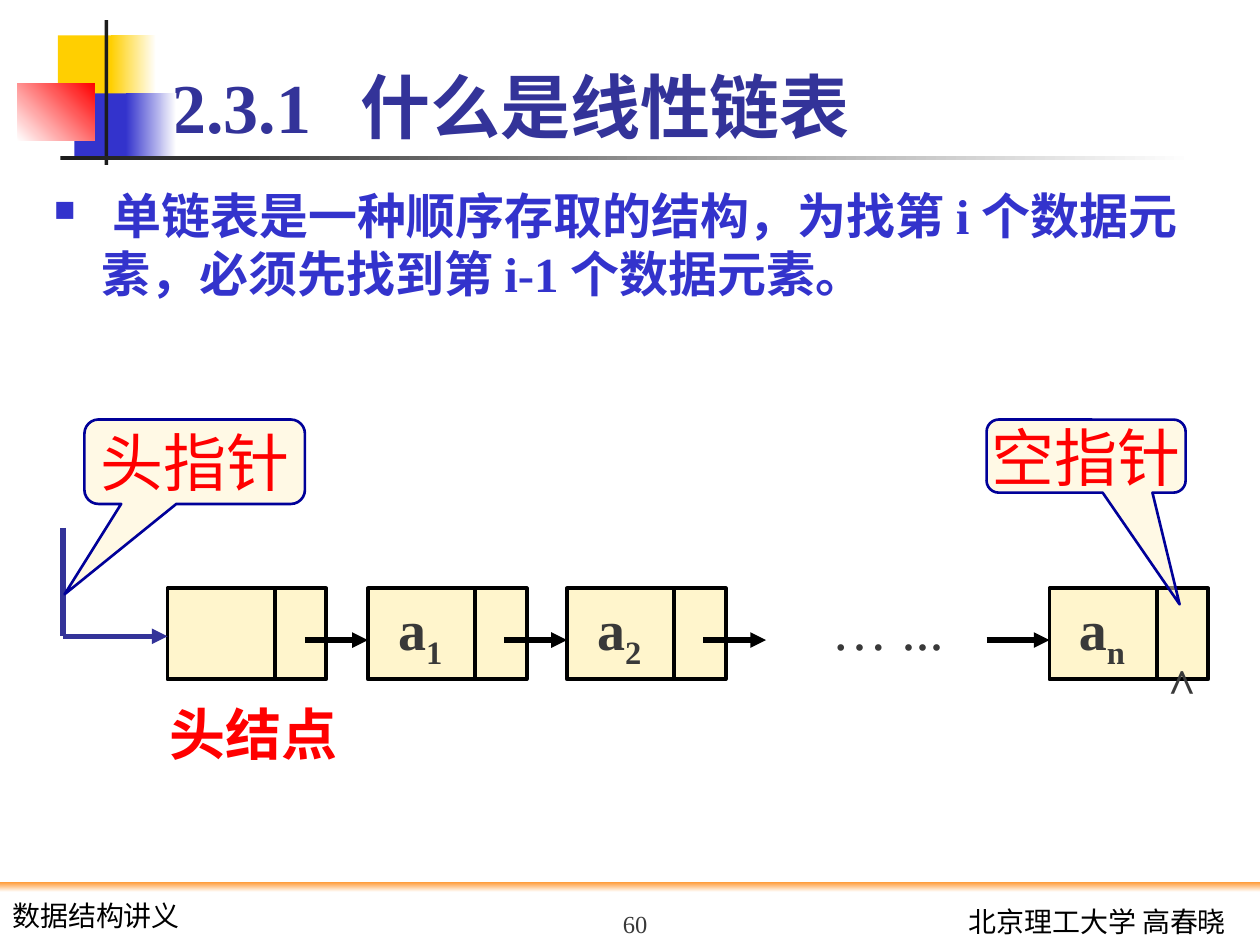
from dataclasses import dataclass

from lxml.etree import SubElement
from pptx import Presentation
from pptx.dml.color import RGBColor
from pptx.enum.shapes import MSO_CONNECTOR, MSO_SHAPE as SHAPE
from pptx.enum.text import MSO_ANCHOR as ANCHOR, PP_ALIGN as ALIGN
from pptx.oxml.ns import qn
from pptx.util import Inches, Pt


@dataclass(frozen=True)
class Theme:
    font: str = "Times New Roman"
    footer_font: str = "Lato"
    title: str = "333399"
    body: str = "3333CC"
    text: str = "393939"
    accent: str = "FF0000"
    yellow: str = "FFCF01"
    dark: str = "1C1C1C"
    orange: str = "FF9933"
    cream: str = "FFF5CC"
    navy: str = "000099"
    black: str = "000000"
    white: str = "FFFFFF"
    title_size: int = 40
    body_size: int = 28
    callout_size: int = 36
    node_size: int = 32
    null_size: int = 48
    footer_size: int = 16
    number_size: int = 14


THEME = Theme()
NODE_TOP, NODE_WIDTH, NODE_HEIGHT, DATA_WIDTH = 4.67, 1.26, 0.72, 0.85
LINK_Y, LINK_LENGTH = 5.08, 0.5


def rgb(color):
    return RGBColor.from_string(color)


def write(frame, text, *, size, color=THEME.text, font=THEME.font, bold=False,
          align=ALIGN.LEFT, anchor=ANCHOR.TOP, wrap=True, subscript=""):
    """Fill the first paragraph; subscript is added as a lowered second run."""
    frame.word_wrap = wrap
    frame.vertical_anchor = anchor
    paragraph = frame.paragraphs[0]
    paragraph.alignment = align
    for part in filter(None, (text, subscript)):
        run = paragraph.add_run()
        run.text = part
        run.font.name, run.font.size, run.font.bold = font, Pt(size), bold
        run.font.color.rgb = rgb(color)
    if subscript:
        lower(run)
    return paragraph


def lower(run):
    run.font._element.set("baseline", "-25000")


class SlideBuilder:
    def __init__(self, presentation, theme):
        self.theme = theme
        self.slide = presentation.slides.add_slide(presentation.slide_layouts[5])
        self.shapes = self.slide.shapes

    def title(self, number, text, left, top, width, height, tab):
        shape = self.shapes.title
        shape.left, shape.top = Inches(left), Inches(top)
        shape.width, shape.height = Inches(width), Inches(height)
        paragraph = write(shape.text_frame, f"{number}\t{text}", bold=True, anchor=ANCHOR.BOTTOM,
                          size=self.theme.title_size, color=self.theme.title)
        stops = SubElement(paragraph._p.get_or_add_pPr(), qn("a:tabLst"))
        SubElement(stops, qn("a:tab"), pos=str(Inches(tab)), algn="l")

    def text(self, text, left, top, width, height, **style):
        box = self.shapes.add_textbox(*map(Inches, (left, top, width, height)))
        return write(box.text_frame, text, **style)

    def bullet(self, text, left, top, width, height, indent):
        paragraph = self.text(text, left, top, width, height, bold=True,
                              size=self.theme.body_size, color=self.theme.body)
        properties = paragraph._p.get_or_add_pPr()
        properties.set("marL", str(Inches(indent)))
        properties.set("indent", str(-Inches(indent)))
        SubElement(SubElement(properties, qn("a:buClr")), qn("a:srgbClr"), val=self.theme.body)
        SubElement(properties, qn("a:buSzPct"), val="60000")
        SubElement(properties, qn("a:buChar"), char="■")

    def shape(self, left, top, width, height, fill, *, end=None, angle=0,
              line=None, line_width=2.25, kind=SHAPE.RECTANGLE):
        """With end given, the fill fades to it at a counter-clockwise angle."""
        shape = self.shapes.add_shape(kind, *map(Inches, (left, top, width, height)))
        shape.shadow.inherit = False
        if end:
            shape.fill.gradient()
            shape.fill.gradient_angle = angle
            for stop, color, position in zip(shape.fill.gradient_stops, (fill, end), (0, 1)):
                stop.color.rgb, stop.position = rgb(color), position
        else:
            shape.fill.solid()
            shape.fill.fore_color.rgb = rgb(fill)
        if line:
            shape.line.color.rgb, shape.line.width = rgb(line), Pt(line_width)
        else:
            shape.line.fill.background()
        return shape

    def line(self, start, end, color, width, arrow=False):
        line = self.shapes.add_connector(MSO_CONNECTOR.STRAIGHT, *map(Inches, start + end))
        line.line.color.rgb, line.line.width = rgb(color), Pt(width)
        if arrow:
            SubElement(line.line._get_or_add_ln(), qn("a:tailEnd"), type="triangle")
        SubElement(line._element.spPr, qn("a:effectLst"))

    def node(self, left, subscript):
        """Draw a list node split into a data part and a link part."""
        theme = self.theme
        self.shape(left, NODE_TOP, NODE_WIDTH, NODE_HEIGHT, theme.cream, line=theme.black)
        divider = left + DATA_WIDTH
        self.line((divider, NODE_TOP), (divider, NODE_TOP + NODE_HEIGHT), theme.black, 2.25)
        if subscript:
            self.text("a", left + 0.08, NODE_TOP, 0.67, 0.63, subscript=subscript,
                      size=theme.node_size, bold=True, align=ALIGN.CENTER)

    def link(self, left):
        self.line((left, LINK_Y), (left + LINK_LENGTH, LINK_Y), self.theme.black, 3, arrow=True)

    def callout(self, text, left, top, width, height, pointer):
        theme = self.theme
        shape = self.shape(left, top, width, height, theme.cream, line=theme.navy,
                           line_width=1.5, kind=SHAPE.ROUNDED_RECTANGULAR_CALLOUT)
        shape.adjustments[0], shape.adjustments[1] = pointer
        color = shape.fill._xPr.find(qn("a:solidFill"))[0]
        SubElement(color, qn("a:alpha"), val="50000")
        write(shape.text_frame, text, size=theme.callout_size, color=theme.accent,
              align=ALIGN.CENTER, anchor=ANCHOR.MIDDLE, wrap=False)

    def decoration(self):
        theme = self.theme
        self.shape(0.46, 0.28, 0.48, 0.52, theme.yellow)
        self.shape(0.88, 0.28, 0.36, 0.52, theme.yellow, end=theme.white)
        self.shape(0.59, 0.74, 0.46, 0.52, theme.body)
        self.shape(1, 0.74, 0.4, 0.52, theme.body, end=theme.white)
        self.shape(0.14, 0.66, 0.61, 0.46, theme.white, end=theme.accent, angle=45)
        self.shape(0.83, 0.16, 0.03, 1.15, theme.dark)
        self.shape(0.48, 1.24, 9, 0.03, theme.dark, end=theme.white)

    def footer(self, left_text, right_text, number):
        theme = self.theme
        style = dict(size=theme.footer_size, font=theme.footer_font, color=theme.black)
        self.text(right_text, 7.33, 7.13, 2.5, 0.37, align=ALIGN.RIGHT, **style)
        self.text(left_text, 0, 7.08, 1.75, 0.37, **style)
        self.shape(0, 7, 10, 0.08, theme.orange, end=theme.white, angle=270)
        self.text(number, 4, 7, 2.08, 0.5, size=theme.number_size,
                  align=ALIGN.CENTER, anchor=ANCHOR.BOTTOM)


def main():
    presentation = Presentation()
    presentation.slide_width, presentation.slide_height = Inches(10), Inches(7.5)
    builder = SlideBuilder(presentation, THEME)

    builder.decoration()
    builder.footer("数据结构讲义", "北京理工大学 高春晓", "60")
    builder.title("2.3.1", "什么是线性链表", 1.26, 0.13, 8.52, 1.09, tab=1.5)
    builder.bullet(" 单链表是一种顺序存取的结构，为找第 i 个数据元素，必须先找到第 i-1 个数据元素。",
                   0.33, 1.42, 9.46, 1.1, indent=0.38)

    for left, subscript in ((1.33, ""), (2.92, "1"), (4.5, "2"), (8.33, "n")):
        builder.node(left, subscript)
    for left in (2.42, 4, 5.58, 7.83):
        builder.link(left)
    builder.text("… ...", 6.5, NODE_TOP, 1.09, 0.63, size=THEME.node_size,
                 align=ALIGN.CENTER, wrap=False)
    null_mark = builder.text("^", 9.17, 4.7, 0.42, 0.63, size=THEME.null_size,
                             bold=True, align=ALIGN.CENTER)
    lower(null_mark.runs[0])

    corner = (0.5, 5.05)
    builder.line((0.5, 4.19), corner, THEME.title, 3)
    builder.line(corner, (1.33, 5.05), THEME.title, 3, arrow=True)
    builder.text("头结点", 1.25, 5.5, 1.54, 0.63, size=THEME.node_size,
                 color=THEME.accent, bold=True, wrap=False)
    builder.callout("头指针", 0.67, 3.33, 1.75, 0.67, pointer=(-0.59, 1.57))
    builder.callout("空指针", 7.83, 3.33, 1.58, 0.58, pointer=(0.47, 2.03))

    presentation.save("out.pptx")


if __name__ == "__main__":
    main()
